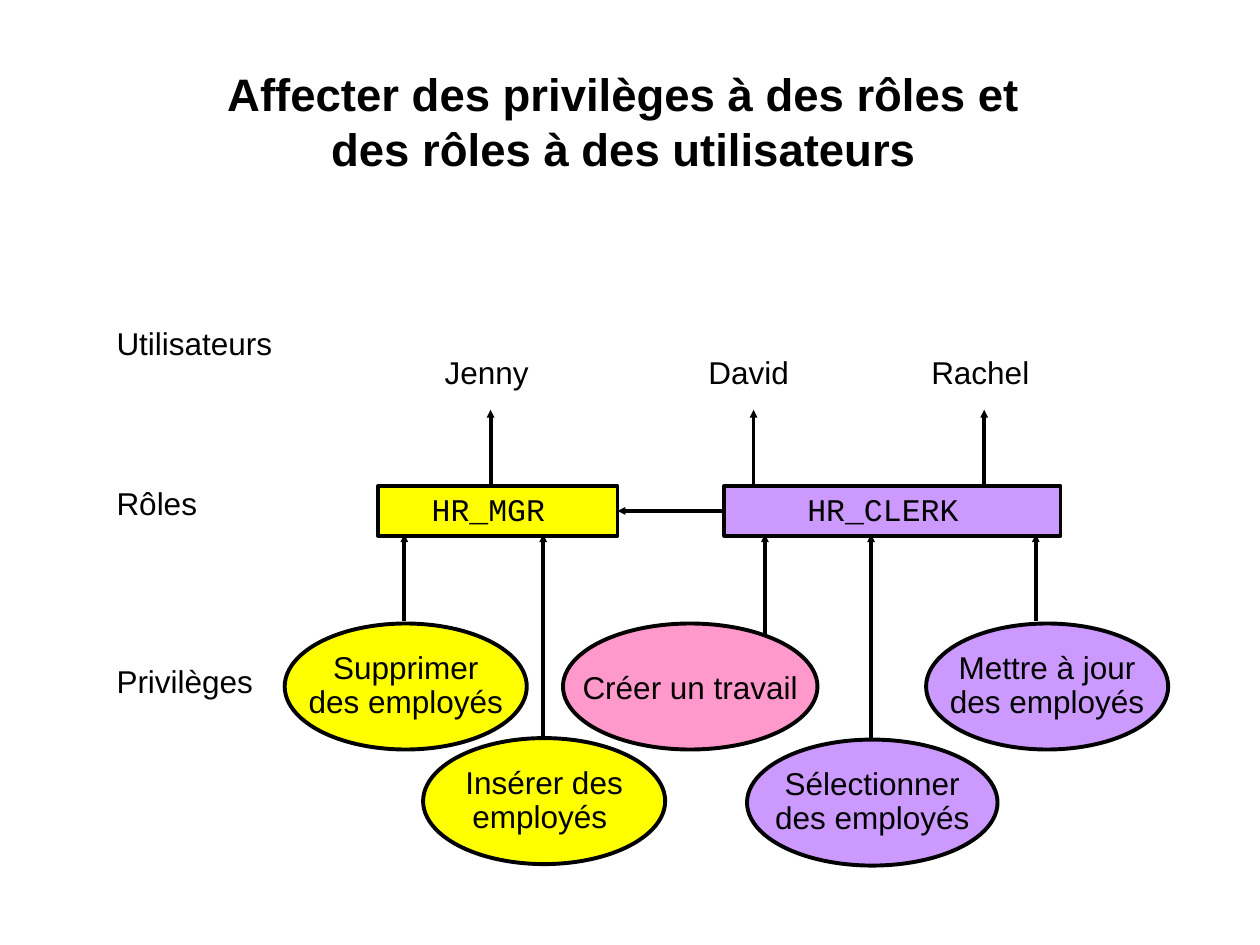
from lxml import etree
from pptx import Presentation
from pptx.dml.color import RGBColor
from pptx.enum.shapes import MSO_CONNECTOR, MSO_SHAPE
from pptx.enum.text import MSO_ANCHOR, PP_ALIGN
from pptx.oxml.ns import qn
from pptx.util import Cm, Pt

BLACK = RGBColor(0x00, 0x00, 0x00)
YELLOW = RGBColor(0xFF, 0xFF, 0x00)
PURPLE = RGBColor(0xCC, 0x99, 0xFF)
PINK = RGBColor(0xFF, 0x99, 0xCC)
RECT, OVAL = MSO_SHAPE.RECTANGLE, MSO_SHAPE.OVAL
STRAIGHT = MSO_CONNECTOR.STRAIGHT
LEFT, CENTER = PP_ALIGN.LEFT, PP_ALIGN.CENTER
TOP, MIDDLE = MSO_ANCHOR.TOP, MSO_ANCHOR.MIDDLE
SANS, MONO = "Arial", "Courier New"
LINE = Pt(2.25)


def write(sp, lines, align=CENTER, anchor=MIDDLE, wrap=True, margin=0.23,
          font=SANS, size=18, bold=False, spacing=1.0):
    tf = sp.text_frame
    tf.word_wrap = wrap
    tf.vertical_anchor = anchor
    tf.margin_left = tf.margin_right = Cm(margin)
    tf.margin_top = tf.margin_bottom = Cm(min(margin, 0.13))
    p = tf.paragraphs[0]
    p.alignment = align
    p.line_spacing = spacing
    for i, line in enumerate(lines):
        if i:
            p.add_line_break()
        r = p.add_run()
        r.text = line
        r.font.name = font
        r.font.size = Pt(size)
        r.font.bold = bold
        r.font.color.rgb = BLACK


def add_text(s, x, y, w, h, lines, **style):
    sp = s.shapes.add_textbox(Cm(x), Cm(y), Cm(w), Cm(h))
    write(sp, lines, **style)


def add_node(s, kind, x, y, w, h, fill, lines, **style):
    sp = s.shapes.add_shape(kind, Cm(x), Cm(y), Cm(w), Cm(h))
    sp.shadow.inherit = False
    sp.fill.solid()
    sp.fill.fore_color.rgb = fill
    sp.line.color.rgb = BLACK
    sp.line.width = LINE
    write(sp, lines, wrap=False, **style)
    return sp


def add_arrow(s, x1, y1, x2, y2):
    cxn = s.shapes.add_connector(STRAIGHT, Cm(x1), Cm(y1), Cm(x2), Cm(y2))
    cxn.line.color.rgb = BLACK
    cxn.line.width = LINE
    etree.SubElement(cxn.line._get_or_add_ln(), qn("a:tailEnd"),
                     type="triangle", w="sm", len="sm")
    etree.SubElement(cxn._element.spPr, qn("a:effectLst"))
    return cxn


def add_title(s, x, y, w, h):
    add_text(s, x, y, w, h,
             ["Affecter des privilèges à des rôles et ",
              "des rôles à des utilisateurs "],
             margin=0.03, size=26, bold=True)


def add_row_labels(s, x, y, w, h):
    for dy, label in ((0, "Utilisateurs"), (3.23, "Rôles"), (6.81, "Privilèges")):
        add_text(s, x, y + dy, w, h, [label], align=LEFT, anchor=TOP)


def add_users(s, x, y, w, h):
    for dx, arrow_dx, name in ((0, 1.58, "Jenny "), (5.28, 6.88, "David "),
                               (9.95, 11.53, "Rachel ")):
        add_text(s, x + dx, y, w, 1.02, [name], anchor=TOP)
        add_arrow(s, x + arrow_dx, y + h, x + arrow_dx, y + 1.27)


def add_roles(s, x, y, w, h):
    style = dict(font=MONO, margin=0.13, spacing=0.95)
    clerk_w, mgr_w = 6.78, 4.83
    clerk_x = x + w - clerk_w
    clerk = add_node(s, RECT, clerk_x, y, clerk_w, h, PURPLE, ["HR_CLERK "], **style)
    mgr = add_node(s, RECT, x, y, mgr_w, h, YELLOW, ["HR_MGR "], **style)
    cxn = add_arrow(s, clerk_x, y + h / 2, x + mgr_w, y + h / 2)
    cxn.begin_connect(clerk, 1)
    cxn.end_connect(mgr, 3)


def add_privileges(s, x, y, h):
    privileges = (
        (0, 1.8, 4.88, 2.41, 1.75, YELLOW, ["Supprimer", "des employés"]),
        (9.32, 4.14, 5.05, 11.82, 4.29, PURPLE, ["Sélectionner", "des employés"]),
        (12.93, 1.8, 4.88, 15.14, 1.75, PURPLE, ["Mettre à jour", "des employés"]),
        (2.79, 4.11, 4.88, 5.21, 4.09, YELLOW, ["Insérer des", "employés "]),
        (5.61, 1.8, 5.13, 9.68, 2.44, PINK, ["Créer un travail"]),
    )
    for dx, dy, w, arrow_dx, arrow_dy, fill, lines in privileges:
        add_arrow(s, x + arrow_dx, y + arrow_dy, x + arrow_dx, y)
        add_node(s, OVAL, x + dx, y + dy, w, h, fill, lines,
                 spacing=0.9 if len(lines) > 1 else 1.0)


def main():
    prs = Presentation()
    prs.slide_width, prs.slide_height = Cm(25.4), Cm(19.05)
    s = prs.slides.add_slide(prs.slide_layouts[6])
    add_title(s, 1.7, 1.22, 22, 2.44)
    add_row_labels(s, 2.12, 6.4, 4.04, 1)
    add_roles(s, 7.62, 9.8, 13.76, 1)
    add_users(s, 8.31, 6.99, 3.18, 2.81)
    add_privileges(s, 5.74, 10.77, 2.54)
    prs.save("out.pptx")


if __name__ == "__main__":
    main()
